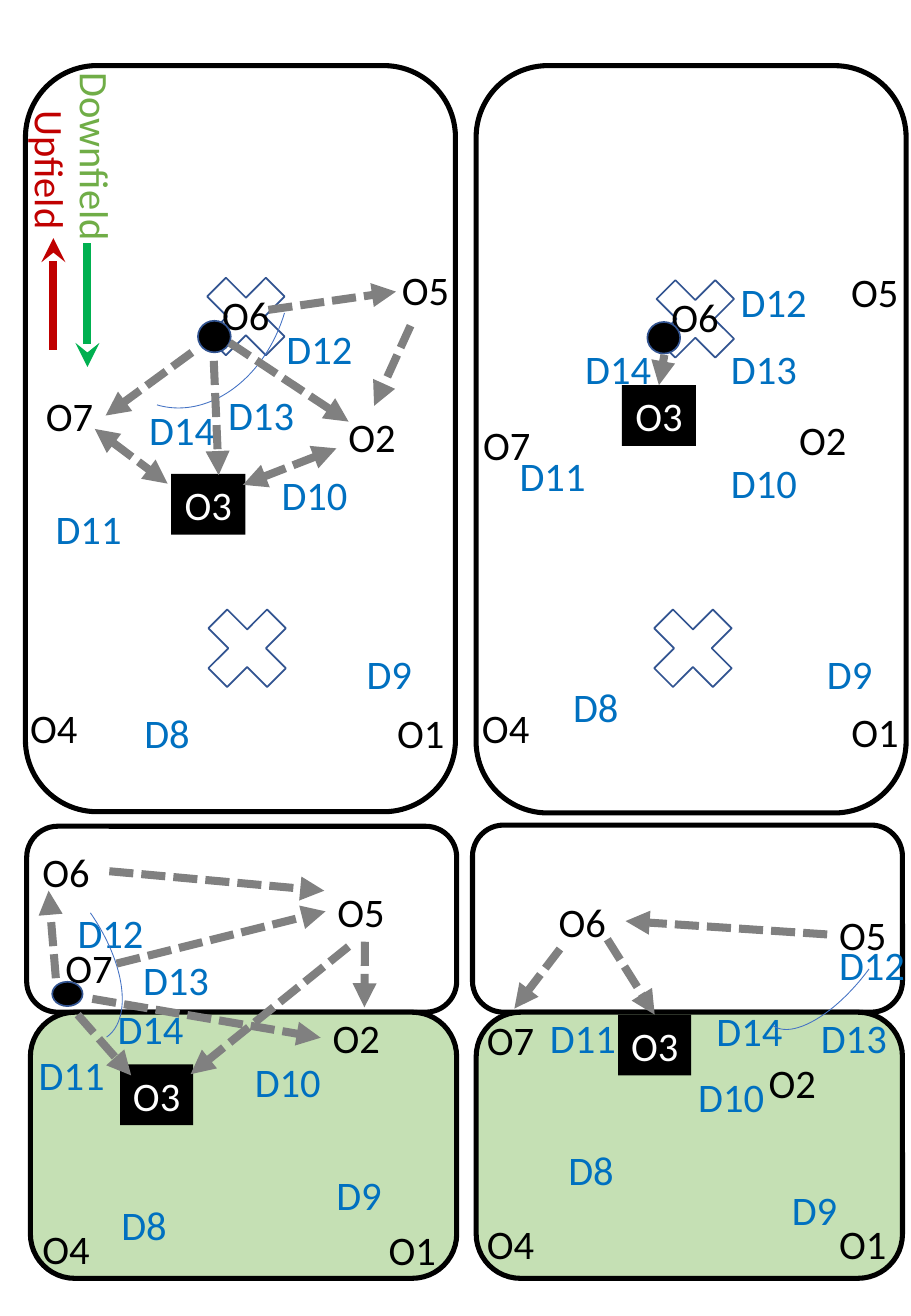
from lxml import etree
from pptx import Presentation
from pptx.dml.color import RGBColor
from pptx.enum.dml import MSO_LINE
from pptx.enum.shapes import MSO_CONNECTOR, MSO_SHAPE
from pptx.enum.text import MSO_AUTO_SIZE, PP_ALIGN
from pptx.oxml.ns import qn
from pptx.util import Inches, Pt

BLACK = RGBColor(0x00, 0x00, 0x00)
WHITE = RGBColor(0xFF, 0xFF, 0xFF)
NAVY = RGBColor(0x32, 0x54, 0x91)
ARC_BLUE = RGBColor(0x44, 0x72, 0xC4)
DEFENCE_BLUE = RGBColor(0x00, 0x70, 0xC0)
GREY = RGBColor(0x80, 0x80, 0x80)
TURF = RGBColor(0xC5, 0xE0, 0xB4)
RED = RGBColor(0xC0, 0x00, 0x00)
ARROW_GREEN = RGBColor(0x00, 0xB0, 0x50)
LABEL_GREEN = RGBColor(0x70, 0xAD, 0x47)

ROUNDED, RECTANGLE = MSO_SHAPE.ROUNDED_RECTANGLE, MSO_SHAPE.RECTANGLE
CROSS, OVAL, ARC = MSO_SHAPE.MATH_MULTIPLY, MSO_SHAPE.OVAL, MSO_SHAPE.ARC
STRAIGHT, SYS_DASH = MSO_CONNECTOR.STRAIGHT, MSO_LINE.SQUARE_DOT
CENTER, LEFT_ALIGN = PP_ALIGN.CENTER, PP_ALIGN.LEFT
GROW = MSO_AUTO_SIZE.SHAPE_TO_FIT_TEXT
TOP, LEFT, BOTTOM, RIGHT = range(4)
LABEL_HEIGHT = 0.5
PITCH_WIDTHS = {2: 0.74, 3: 0.97}
HALF_WIDTHS = {2: 0.65, 3: 0.86}

PITCH_LEFT = {
    "widths": PITCH_WIDTHS,
    "areas": [((0.21, 0.54, 3.54, 6.14), WHITE)],
    "crosses": [(1.57, 4.87), (1.56, 2.14)],
    "players": {
        "O2": (2.77, 3.34, 0.61), "O1": (3.17, 5.78, 0.61), "O3": (1.41, 3.9, 0.61),
        "O4": (0.15, 5.74), "O5": (3.21, 2.13), "O6": (1.73, 2.34, 0.84),
        "O7": (0.28, 3.17), "D8": (1.09, 5.78), "D9": (2.92, 5.29),
        "D10": (2.22, 3.82), "D11": (0.36, 4.1), "D12": (2.26, 2.62),
        "D13": (1.78, 3.16), "D14": (1.13, 3.28)},
    "ball": (1.63, 2.64, 0.27, 0.26),
    "arc": ((0.56, 1.56, 2.05, 1.58), 106.6),
    "passes": [
        ((2.21, 2.55), (3.26, 2.4)), ((3.38, 2.68), (3.08, 3.34)),
        ((1.89, 2.82), (2.87, 3.47)), ((1.76, 2.97), (1.8, 3.91)),
        ((1.58, 2.9), (0.87, 3.42))],
    "exchanges": [((2.77, 3.69), (2, 3.99)), ((0.78, 3.53), (1.38, 3.98))],
}
PITCH_RIGHT = {
    "widths": PITCH_WIDTHS,
    "areas": [((0.22, 0.54, 3.54, 6.15), WHITE)],
    "crosses": [(1.54, 4.87), (1.56, 2.16)],
    "players": {
        "O4": (0.17, 5.74), "D8": (0.92, 5.56), "O2": (2.78, 3.37),
        "O1": (3.21, 5.77, 0.61), "O3": (1.42, 3.17, 0.61), "O5": (3.21, 2.15),
        "O6": (1.73, 2.35, 0.84), "O7": (0.18, 3.41), "D9": (3.01, 5.29),
        "D10": (2.22, 3.72), "D11": (0.48, 3.66), "D12": (2.3, 2.23),
        "D13": (2.22, 2.78), "D14": (1.02, 2.78)},
    "ball": (1.63, 2.65, 0.27, 0.26),
    "passes": [((1.77, 2.92), ("O3", TOP))],
}
HALF_LEFT = {
    "widths": HALF_WIDTHS,
    "areas": [((0.22, 0, 3.54, 1.53), None), ((0.25, 1.53, 3.51, 2.19), TURF)],
    "players": {
        "O2": (2.64, 1.49, 0.72), "O1": (3.1, 3.23), "O3": (0.99, 1.96, 0.6),
        "O4": (0.25, 3.22), "O5": (2.68, 0.45), "O6": (0.25, 0.12),
        "O7": (0.44, 0.91), "D8": (0.9, 3.03), "D9": (2.67, 2.78),
        "D10": (2, 1.85), "D11": (0.22, 1.79), "D12": (0.54, 0.62),
        "D13": (1.08, 1.01), "D14": (0.87, 1.41)},
    "ball": (0.43, 1.28, 0.25, 0.2),
    "arc": ((-0.56, 0.51, 1.83, 0.95), 55.1),
    "passes": [
        ((0.46, 1.25), (0.4, 0.53)), ((0.96, 1.13), ("O5", LEFT)),
        (("O6", RIGHT), (2.67, 0.53)), (("O5", BOTTOM), ("O2", TOP)),
        ((2.87, 0.99), (1.57, 2.04)), ((0.64, 1.55), (1.08, 2.05)),
        ((0.76, 1.42), ("O2", LEFT))],
}
HALF_RIGHT = {
    "widths": HALF_WIDTHS,
    "areas": [((0.19, -0.01, 3.54, 1.54), None), ((0.22, 1.53, 3.51, 2.19), TURF)],
    "players": {
        "O2": (2.53, 1.86, 0.72), "O1": (3.11, 3.18), "O3": (1.39, 1.55, 0.6),
        "O4": (0.21, 3.18), "O5": (3.11, 0.64), "O6": (0.8, 0.53),
        "O7": (0.21, 1.5), "D8": (0.88, 2.57), "D9": (2.72, 2.9),
        "D10": (1.95, 1.97), "D11": (0.73, 1.49), "D12": (3.11, 0.89),
        "D13": (2.96, 1.49), "D14": (2.1, 1.43)},
    "arc": ((2.32, 0.6, 1.69, 0.72), 126.5),
    "passes": [(("O5", LEFT), ("O6", RIGHT)), ((1.3, 0.93), ("O3", TOP)),
               ((0.91, 1.01), ("O7", TOP))],
}
FORMATIONS = [((0, 0), PITCH_LEFT), ((0, 6.8), HALF_LEFT),
              ((3.7, 0), PITCH_RIGHT), ((3.7, 6.8), HALF_RIGHT)]
DIRECTIONS = [
    ("Upfield", (-0.25, 1.23, 1.34), RED, RED, (0.44, 2.88), (0.44, 1.96)),
    ("Downfield", (-0.07, 1.11, 1.72), LABEL_GREEN, ARROW_GREEN, (0.72, 2), (0.72, 3.02)),
]


def apply(target, formats):
    for name, value in formats.items():
        setattr(target, name, value)


def offset(origin, place):
    x, y, *size = place
    return [Inches(v) for v in (origin[0] + x, origin[1] + y, *size)]


def draw_shape(slide, preset, origin, place, fill, line, weight):
    shape = slide.shapes.add_shape(preset, *offset(origin, place))
    shape.shadow.inherit = False
    if fill is None:
        shape.fill.background()
    else:
        shape.fill.solid()
        shape.fill.fore_color.rgb = fill
    if line is None:
        shape.line.fill.background()
    else:
        shape.line.color.rgb = line
        shape.line.width = Pt(weight)
    return shape


def write_label(label, text, color, alignment=LEFT_ALIGN):
    apply(label.text_frame, {"word_wrap": True, "auto_size": GROW})
    paragraph = label.text_frame.paragraphs[0]
    paragraph.alignment = alignment
    run = paragraph.add_run()
    run.text = text
    apply(run.font, {"name": "Calibri", "size": Pt(24)})
    run.font.color.rgb = color


def draw_arrow(slide, origin, start, end, color, ends, dash=None, players=None):
    joins = [point if isinstance(point[0], str) else None for point in (start, end)]
    points = [offset(origin, (0, 0) if join else point)
              for join, point in zip(joins, (start, end))]
    arrow = slide.shapes.add_connector(STRAIGHT, *points[0], *points[1])
    for join, connect in zip(joins, (arrow.begin_connect, arrow.end_connect)):
        if join:
            connect(players[join[0]], join[1])
    arrow.line.color.rgb = color
    apply(arrow.line, {"width": Pt(4.75), "dash_style": dash})
    outline = arrow.line._ln
    for tag, kind in ends.items():
        etree.SubElement(outline, qn(tag)).set("type", kind)
    etree.SubElement(arrow._element.spPr, qn("a:effectLst"))


def draw_player(slide, origin, name, place, widths):
    x, y, *width = place
    box = (x, y, *(width or [widths[len(name)]]), LABEL_HEIGHT)
    if name == "O3":
        player = draw_shape(slide, RECTANGLE, origin, box, BLACK, None, 0)
        write_label(player, name, WHITE, CENTER)
    else:
        player = slide.shapes.add_textbox(*offset(origin, box))
        write_label(player, name, BLACK if name[0] == "O" else DEFENCE_BLUE)
    return player


def draw_formation(slide, origin, formation):
    for area, fill in formation["areas"]:
        draw_shape(slide, ROUNDED, origin, area, fill, BLACK, 3)
    for cross in formation.get("crosses", []):
        draw_shape(slide, CROSS, origin, (*cross, 0.93, 0.93), None, NAVY, 1)
    players = {name: draw_player(slide, origin, name, place, formation["widths"])
               for name, place in formation["players"].items()}
    if "ball" in formation:
        draw_shape(slide, OVAL, origin, formation["ball"], BLACK, NAVY, 1)
    if "arc" in formation:
        place, angle = formation["arc"]
        draw_shape(slide, ARC, origin, place, None, ARC_BLUE, 0.5).rotation = angle
    one_way = {"a:tailEnd": "triangle"}
    two_way = {"a:headEnd": "triangle", "a:tailEnd": "triangle"}
    for group, ends in (("passes", one_way), ("exchanges", two_way)):
        for start, end in formation.get(group, []):
            draw_arrow(slide, origin, start, end, GREY, ends, SYS_DASH, players)


def draw_directions(slide, origin):
    for text, place, text_color, arrow_color, start, end in DIRECTIONS:
        label = slide.shapes.add_textbox(*offset(origin, (*place, LABEL_HEIGHT)))
        label.rotation = 90
        write_label(label, text, text_color)
        draw_arrow(slide, origin, start, end, arrow_color, {"a:tailEnd": "stealth"})


def main():
    deck = Presentation()
    apply(deck, {"slide_width": Inches(7.5), "slide_height": Inches(10.83)})
    slide = deck.slides.add_slide(deck.slide_layouts[6])
    for origin, formation in FORMATIONS:
        draw_formation(slide, origin, formation)
    draw_directions(slide, (0, 0))
    deck.save("out.pptx")


if __name__ == "__main__":
    main()
